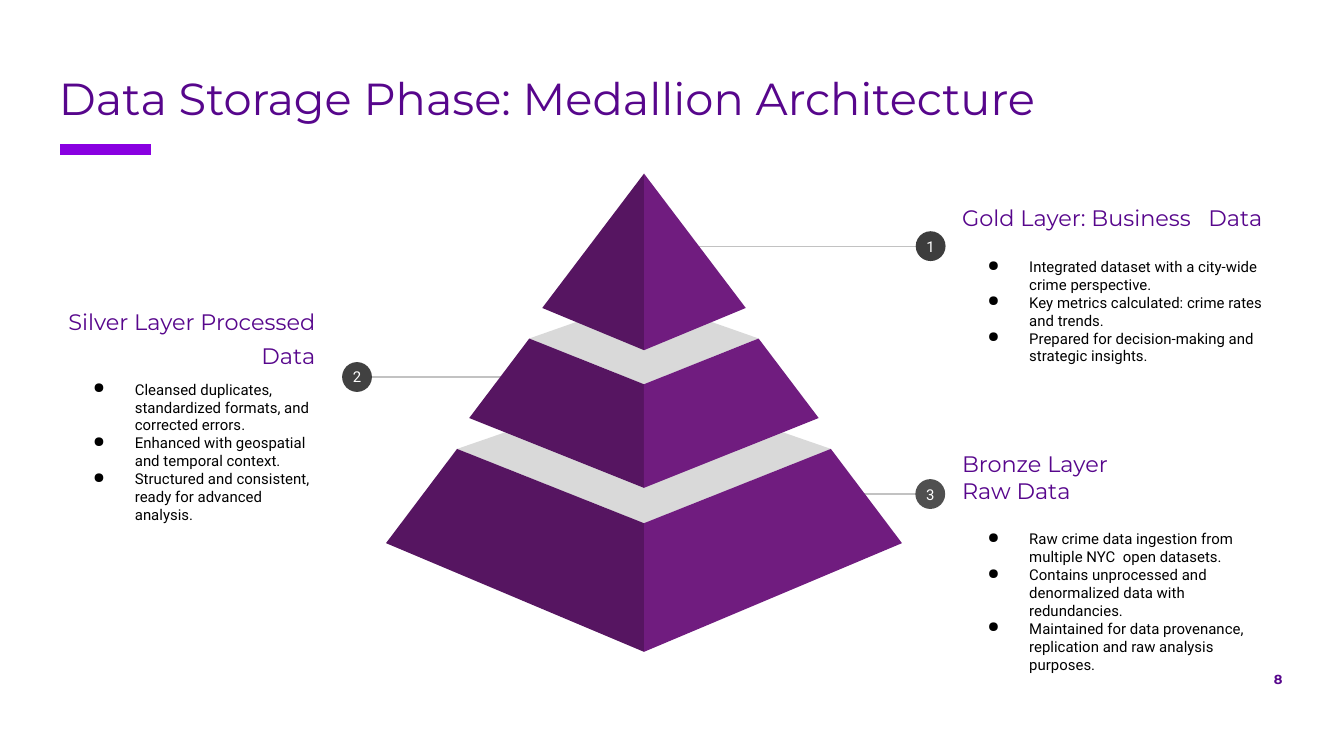
import pptx
import pptx.chart.data
import pptx.dml.color
import pptx.enum.shapes
import pptx.enum.text
import pptx.oxml
import pptx.oxml.ns
import pptx.util
from lxml import etree

Pt = pptx.util.Pt
ALIGN = pptx.enum.text.PP_ALIGN
ANCHOR = pptx.enum.text.MSO_ANCHOR

HEADING_COLOR = "57068C"
ACCENT = "8900E1"
LEFT_FACE, RIGHT_FACE, LID = "561561", "701C7F", "D9D9D9"
LEADER_COLOR = "C2C2C2"
INSET = 7.2
BADGE_SIZE = 16

TITLE = "Data Storage Phase: Medallion Architecture"
PAGE_NUMBER = "8"

LAYERS = [
    {
        "number": "3", "headings": ["Bronze Layer", "Raw Data"],
        "points": [
            "Raw crime data ingestion from multiple NYC  open datasets.",
            "Contains unprocessed and denormalized data with redundancies.",
            "Maintained for data provenance, replication and raw analysis purposes.",
        ],
        "box": (508.3, 235.4, 182.2, 131), "align": ALIGN.LEFT,
        "heading_spacing": 1, "gap": 14,
        "leader": (460, 506), "badge": (498.4, 264.7), "badge_color": "505050",
    },
    {
        "number": "2", "headings": ["Silver Layer Processed Data"],
        "points": [
            "Cleansed duplicates, standardized formats, and corrected errors.",
            "Enhanced with geospatial and temporal context.",
            "Structured and consistent, ready for advanced analysis.",
        ],
        "box": (29.2, 155.5, 146.9, 131), "align": ALIGN.RIGHT,
        "heading_spacing": 1.25, "gap": 6,
        "leader": (270.7, 188.6), "badge": (191.3, 202), "badge_color": "414141",
    },
    {
        "number": "1", "headings": ["Gold Layer: Business   Data"],
        "points": [
            "Integrated dataset with a city-wide crime perspective.",
            "Key metrics calculated: crime rates and trends.",
            "Prepared for decision-making and strategic insights.",
        ],
        "box": (508.3, 84.2, 182.2, 136.8), "align": ALIGN.LEFT,
        "heading_spacing": 1, "gap": 14,
        "leader": (371.5, 506), "badge": (498.6, 131.9), "badge_color": "3D3D3D",
    },
]

AXIS = 345
TIERS = [
    {"lid_back": 205.9, "shoulder": (100.1, 240.5), "ridge": 280.3,
     "foot": (138.2, 291), "tip": 349.2},
    {"lid_back": 159.8, "shoulder": (61.4, 181.4), "ridge": 205.9,
     "foot": (93.6, 224), "tip": 261.4},
    {"lid_back": None, "shoulder": (0, 93), "ridge": 93,
     "foot": (54.5, 165), "tip": 187.6},
]


def rgb(value):
    return pptx.dml.color.RGBColor.from_string(value)


def set_font(paragraph, name, size, color, bold=False):
    paragraph.font.name = name
    paragraph.font.size = Pt(size)
    paragraph.font.color.rgb = rgb(color)
    paragraph.font.bold = bold


def paint(shape, color):
    shape.shadow.inherit = False
    shape.fill.solid()
    shape.fill.fore_color.rgb = rgb(color)
    shape.line.fill.background()


def add_frame(slide, box, anchor=ANCHOR.TOP):
    frame = slide.shapes.add_textbox(*map(Pt, box)).text_frame
    frame.word_wrap = True
    frame.vertical_anchor = anchor
    frame.margin_left = frame.margin_right = Pt(INSET)
    frame.margin_top = frame.margin_bottom = Pt(INSET)
    return frame


def add_line(slide, x1, x2, y, color, width):
    line = slide.shapes.add_connector(
        pptx.enum.shapes.MSO_CONNECTOR.STRAIGHT, Pt(x1), Pt(y), Pt(x2), Pt(y))
    line.line.color.rgb = rgb(color)
    line.line.width = Pt(width)
    etree.SubElement(line._element.spPr, pptx.oxml.ns.qn("a:effectLst"))


def add_bullet(paragraph):
    properties = paragraph._p.get_or_add_pPr()
    properties.set("marL", str(Pt(36)))
    properties.set("indent", str(-Pt(22.3)))
    color = etree.SubElement(properties, pptx.oxml.ns.qn("a:buClr"))
    etree.SubElement(color, pptx.oxml.ns.qn("a:srgbClr"), val="000000")
    etree.SubElement(properties, pptx.oxml.ns.qn("a:buChar"), char="●")


def add_face(slide, points, color):
    scaled = [(Pt(x), Pt(y)) for x, y in points]
    builder = slide.shapes.build_freeform(*scaled[0], scale=1.0)
    builder.add_line_segments(scaled[1:], close=True)
    paint(builder.convert_to_shape(), color)


def add_layer(slide, layer):
    x, y = layer["badge"]
    add_line(slide, *layer["leader"], y, LEADER_COLOR, 0.75)

    frame = add_frame(slide, layer["box"], ANCHOR.MIDDLE)
    texts = layer["headings"] + layer["points"]
    first_point = len(layer["headings"])
    for index, text in enumerate(texts):
        paragraph = frame.add_paragraph() if index else frame.paragraphs[0]
        paragraph.text = text
        if index < first_point:
            paragraph.alignment = layer["align"]
            paragraph.line_spacing = layer["heading_spacing"]
            set_font(paragraph, "Montserrat", 12, HEADING_COLOR)
        else:
            if index == first_point:
                paragraph.space_before = Pt(layer["gap"])
            add_bullet(paragraph)
            set_font(paragraph, "Roboto", 8, "000000")

    badge = slide.shapes.add_shape(
        pptx.enum.shapes.MSO_SHAPE.OVAL, Pt(x - BADGE_SIZE / 2),
        Pt(y - BADGE_SIZE / 2), Pt(BADGE_SIZE), Pt(BADGE_SIZE))
    paint(badge, layer["badge_color"])
    label = badge.text_frame
    label.word_wrap = False
    label.vertical_anchor = ANCHOR.MIDDLE
    label.margin_left = label.margin_right = label.margin_top = label.margin_bottom = 0
    number = label.paragraphs[0]
    number.text = layer["number"]
    number.alignment = ALIGN.CENTER
    set_font(number, "Roboto", 8, "FFFFFF")


def add_tier(slide, tier):
    shoulder, shoulder_y = tier["shoulder"]
    foot, foot_y = tier["foot"]
    ridge, tip = (AXIS, tier["ridge"]), (AXIS, tier["tip"])
    if tier["lid_back"]:
        add_face(slide, [(AXIS - shoulder, shoulder_y), ridge,
                         (AXIS + shoulder, shoulder_y), (AXIS, tier["lid_back"])], LID)
    for side, color in ((-1, LEFT_FACE), (1, RIGHT_FACE)):
        edge = [(AXIS + side * shoulder, shoulder_y)] if shoulder else []
        add_face(slide, [ridge] + edge + [(AXIS + side * foot, foot_y), tip], color)


def main():
    deck = pptx.Presentation()
    deck.slide_width, deck.slide_height = Pt(720), Pt(405)
    slide = deck.slides.add_slide(deck.slide_layouts[6])

    page = add_frame(slide, (363.6, 355.7, 330.5, 24.5)).paragraphs[0]
    page.text = PAGE_NUMBER
    page.alignment = ALIGN.RIGHT
    set_font(page, "Montserrat", 7, HEADING_COLOR, True)

    title = add_frame(slide, (24.5, 35.3, 663, 45.4)).paragraphs[0]
    title.text = TITLE
    title.line_spacing = 0.85
    set_font(title, "Montserrat", 24, HEADING_COLOR)
    add_line(slide, 32.2, 81, 80, ACCENT, 6)

    for layer in LAYERS:
        add_layer(slide, layer)
    for tier in TIERS:
        add_tier(slide, tier)

    deck.save("out.pptx")


if __name__ == "__main__":
    main()
